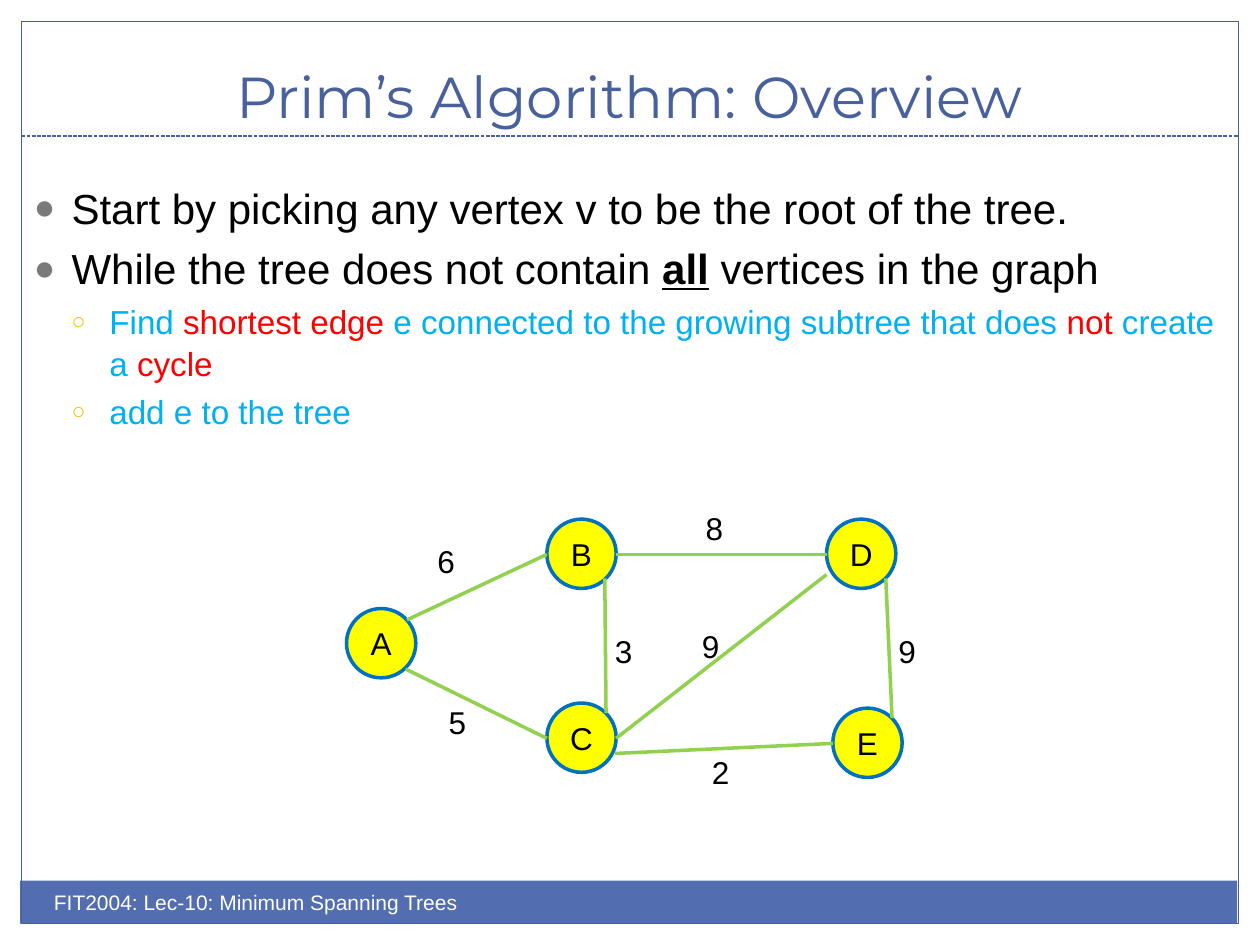
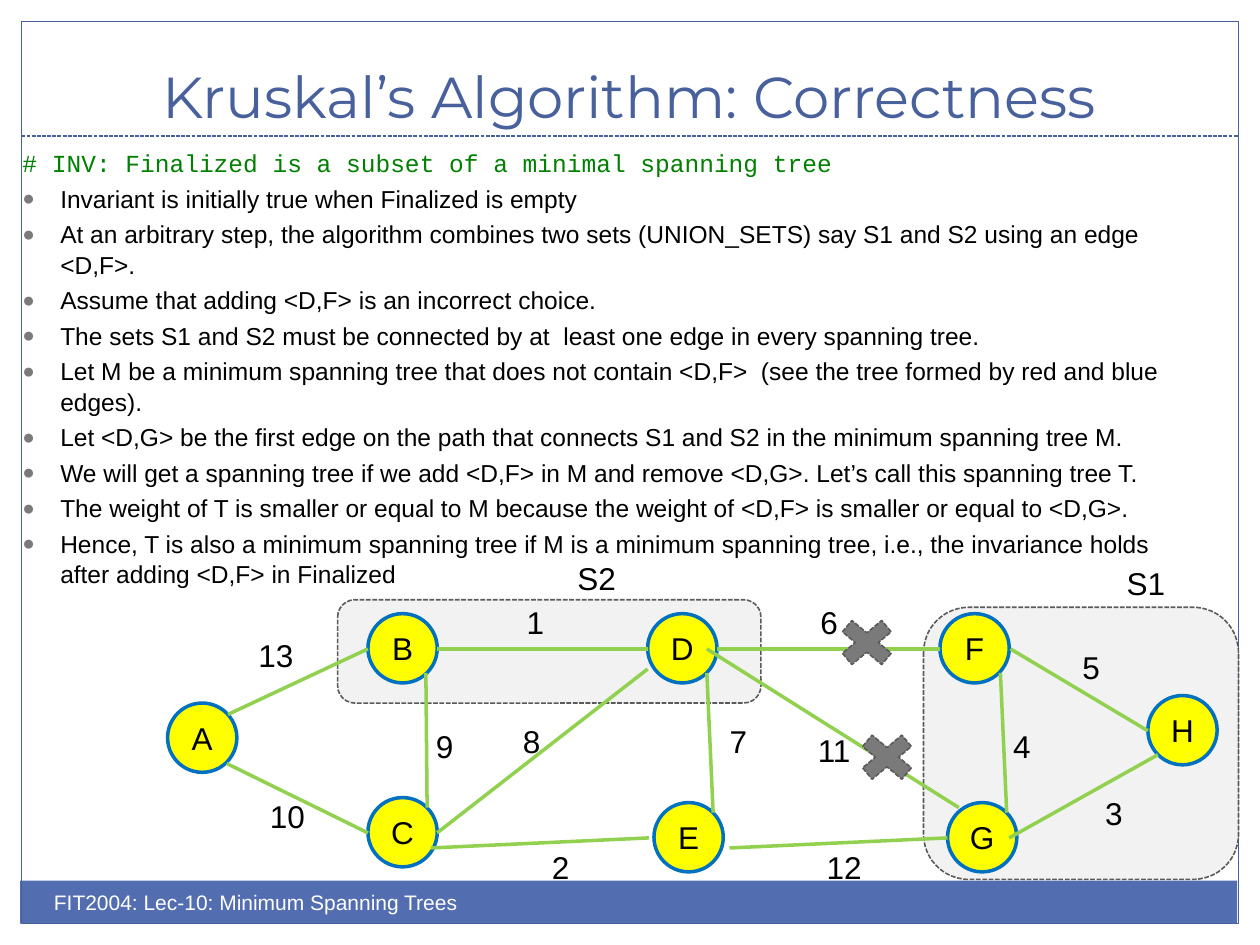
import pptx
import pptx.util
import pptx.dml.color
import pptx.enum.dml
import pptx.enum.shapes
import pptx.enum.text
import pptx.oxml.ns
from lxml import etree

Inches = pptx.util.Inches
Pt = pptx.util.Pt
SHAPE = pptx.enum.shapes.MSO_SHAPE
ALIGN = pptx.enum.text.PP_ALIGN
ANCHOR = pptx.enum.text.MSO_ANCHOR
DASH = pptx.enum.dml.MSO_LINE.SQUARE_DOT
qn = pptx.oxml.ns.qn

COLORS = {
    "title": "48609B", "band": "526DB0", "white": "FFFFFF", "black": "000000",
    "bullet": "7A7A7A", "sub_bullet": "F5C201", "step": "00B0F0", "stress": "FF0000",
    "code": "008000", "vertex": "FFFF00", "ring": "0070C0", "edge": "92D050",
    "set": "F2F2F2", "set_line": "5A5A5A", "cross": "7A7A7A",
}
BODY_FONT = "Arial"
VERTEX_SIZE = 0.55
BULLETS = [("●", "bullet", 85), ("○", "sub_bullet", 70)]

CORE_VERTICES = {"A": (0, 0.71), "B": (1.59, 0), "C": (1.59, 1.46),
                 "D": (3.81, 0), "E": (3.86, 1.5)}
CORE_EDGES = [
    (0.48, 0.8, 1.59, 0.28), (0.47, 1.19, 1.59, 1.74), (2.14, 0.28, 3.81, 0.28),
    (4.33, 1.58, 4.28, 0.47), (2.14, 1.74, 3.81, 0.44), (2.06, 1.54, 2.05, 0.47),
]


def rgb(name):
    return pptx.dml.color.RGBColor.from_string(COLORS[name])


def style_font(font, size, color, name=BODY_FONT):
    font.size = Pt(size)
    font.name = name
    font.color.rgb = rgb(color)


def style_line(line, color, width, dashed=False):
    line.color.rgb = rgb(color)
    line.width = Pt(width)
    if dashed:
        line.dash_style = DASH


def add_box(slide, kind, left, top, width, height, fill=None, line=None, weight=0.75, dashed=False):
    box = slide.shapes.add_shape(kind, Inches(left), Inches(top), Inches(width), Inches(height))
    box.shadow.inherit = False
    if fill:
        box.fill.solid()
        box.fill.fore_color.rgb = rgb(fill)
    else:
        box.fill.background()
    if line:
        style_line(box.line, line, weight, dashed)
    else:
        box.line.fill.background()
    return box


def add_line(slide, start_x, start_y, end_x, end_y, color, weight, dashed=False):
    line = slide.shapes.add_connector(
        pptx.enum.shapes.MSO_CONNECTOR.STRAIGHT,
        Inches(start_x), Inches(start_y), Inches(end_x), Inches(end_y))
    style_line(line.line, color, weight, dashed)
    etree.SubElement(line._element.spPr, qn("a:effectLst"))


def add_label(slide, text, left, top, width, size=18, color="black", align=ALIGN.CENTER):
    label = slide.shapes.add_textbox(Inches(left), Inches(top), Inches(width), Inches(0.4))
    label.text_frame.text = text
    paragraph = label.text_frame.paragraphs[0]
    paragraph.alignment = align
    style_font(paragraph.font, size, color)


def add_framed_slide(deck, title_text):
    slide = deck.slides.add_slide(deck.slide_layouts[5])
    add_box(slide, SHAPE.RECTANGLE, 0.16, 6.99, 9.66, 0.34, fill="band")
    add_box(slide, SHAPE.RECTANGLE, 0.17, 0.17, 9.66, 7.16, line="title")
    add_line(slide, 0.17, 1.08, 9.83, 1.08, "title", 0.75, dashed=True)
    add_label(slide, "FIT2004: Lec-10: Minimum Spanning Trees", 0.33, 7.01, 5,
              size=12, color="white", align=ALIGN.LEFT)
    title = slide.shapes.title
    title.left, title.top = Inches(0.33), Inches(0.25)
    title.width, title.height = Inches(9.33), Inches(0.83)
    frame = title.text_frame
    frame.text = title_text
    frame.auto_size = pptx.enum.text.MSO_AUTO_SIZE.NONE
    frame.vertical_anchor = ANCHOR.BOTTOM
    frame.paragraphs[0].alignment = ALIGN.CENTER
    style_font(frame.paragraphs[0].font, 33, "title", "Montserrat")
    return slide


def set_bullet(paragraph, level):
    mark, color, percent = BULLETS[level]
    props = paragraph._p.get_or_add_pPr()
    props.set("marL", str(Inches(0.3 * (level + 1))))
    props.set("indent", str(Inches(-0.3)))
    bullet_color = etree.SubElement(props, qn("a:buClr"))
    etree.SubElement(bullet_color, qn("a:srgbClr"), val=COLORS[color])
    etree.SubElement(props, qn("a:buSzPct"), val=str(percent * 1000))
    etree.SubElement(props, qn("a:buFont"), typeface=BODY_FONT)
    etree.SubElement(props, qn("a:buChar"), char=mark)


def add_body(slide, left, top, width, height, items):
    body = slide.shapes.add_textbox(Inches(left), Inches(top), Inches(width), Inches(height))
    frame = body.text_frame
    frame.word_wrap = True
    for index, (level, size, color, font_name, pieces) in enumerate(items):
        paragraph = frame.add_paragraph() if index else frame.paragraphs[0]
        if level is not None:
            set_bullet(paragraph, level)
        paragraph.line_spacing = 1.04
        if index:
            paragraph.space_before = Pt(0.2 * size)
        style_font(paragraph.font, size, color, font_name)
        for text, emphasis in pieces:
            run = paragraph.add_run()
            run.text = text
            if emphasis == "strong":
                run.font.bold = run.font.underline = True
            elif emphasis:
                run.font.color.rgb = rgb(emphasis)


def add_graph(slide, left, top, vertices, edges, weights):
    for letter, (x, y) in vertices.items():
        vertex = add_box(slide, SHAPE.OVAL, left + x, top + y, VERTEX_SIZE, VERTEX_SIZE,
                         fill="vertex", line="ring", weight=2)
        frame = vertex.text_frame
        frame.margin_left = frame.margin_right = frame.margin_top = frame.margin_bottom = 0
        frame.vertical_anchor = ANCHOR.MIDDLE
        frame.word_wrap = False
        frame.text = letter
        frame.paragraphs[0].alignment = ALIGN.CENTER
        style_font(frame.paragraphs[0].font, 18, "black")
    for x1, y1, x2, y2 in edges:
        add_line(slide, left + x1, top + y1, left + x2, top + y2, "edge", 2)
    for weight, x, y in weights:
        add_label(slide, weight, left + x, top + y, 0.2 + 0.14 * len(weight))


def build_prim(deck):
    slide = add_framed_slide(deck, "Prim’s Algorithm: Overview")
    add_body(slide, 0.17, 1.38, 9.67, 5, [
        (0, 24, "black", BODY_FONT,
         [("Start by picking any vertex v to be the root of the tree.", None)]),
        (0, 24, "black", BODY_FONT,
         [("While the tree does not contain ", None), ("all", "strong"),
          (" vertices in the graph", None)]),
        (1, 19, "step", BODY_FONT,
         [("Find ", None), ("shortest edge ", "stress"),
          ("e connected to the growing subtree that does ", None), ("not", "stress"),
          (" create a ", None), ("cycle", "stress")]),
        (1, 19, "step", BODY_FONT, [("add e to the tree", None)]),
    ])
    weights = [("6", 0.62, 0.13), ("5", 0.71, 1.41), ("3", 2.03, 0.85), ("8", 2.75, -0.13),
               ("9", 2.72, 0.81), ("2", 2.8, 1.81), ("9", 4.28, 0.85)]
    add_graph(slide, 2.75, 4.12, CORE_VERTICES,
              CORE_EDGES + [(2.13, 1.86, 3.86, 1.78)], weights)


def build_kruskal(deck):
    slide = add_framed_slide(deck, "Kruskal’s Algorithm: Correctness")
    invariant = "# INV: Finalized is a subset of a minimal spanning tree"
    argument = [
        "Invariant is initially true when Finalized is empty",
        "At an arbitrary step, the algorithm combines two sets (UNION_SETS) say S1 and S2 using an edge <D,F>.",
        "Assume that adding <D,F> is an incorrect choice.",
        "The sets S1 and S2 must be connected by at  least one edge in every spanning tree.",
        "Let M be a minimum spanning tree that does not contain <D,F>  (see the tree formed by red and blue edges).",
        "Let <D,G> be the first edge on the path that connects S1 and S2 in the minimum spanning tree M.",
        "We will get a spanning tree if we add <D,F> in M and remove <D,G>. Let’s call this spanning tree T.",
        "The weight of T is smaller or equal to M because the weight of <D,F> is smaller or equal to <D,G>.",
        "Hence, T is also a minimum spanning tree if M is a minimum spanning tree, i.e., the invariance holds after adding <D,F> in Finalized",
    ]
    for set_box in [(7.33, 4.82, 2.5, 2.16), (2.68, 4.76, 3.36, 0.82)]:
        add_box(slide, SHAPE.ROUNDED_RECTANGLE, *set_box,
                fill="set", line="set_line", weight=0.9, dashed=True)
    add_body(slide, 0.08, 1.12, 9.58, 5,
             [(None, 14, "code", "Courier New", [(invariant, None)])]
             + [(0, 14, "black", BODY_FONT, [(step, None)]) for step in argument])
    vertices = {**CORE_VERTICES, "F": (6.13, 0), "G": (6.19, 1.5), "H": (7.78, 0.65)}
    edges = CORE_EDGES + [
        (2.09, 1.86, 3.82, 1.78), (4.36, 0.28, 6.13, 0.28), (6.66, 1.58, 6.61, 0.47),
        (4.28, 0.28, 6.28, 1.54), (4.46, 1.86, 6.19, 1.78), (6.69, 0.28, 7.78, 0.93),
        (6.68, 1.78, 7.86, 1.12)]
    weights = [
        ("13", 0.62, 0.13), ("10", 0.71, 1.41), ("9", 2.03, 0.85), ("1", 2.75, -0.13),
        ("8", 2.72, 0.81), ("2", 2.95, 1.81), ("7", 4.36, 0.81), ("6", 5.08, -0.13),
        ("11", 5.05, 0.88), ("12", 5.13, 1.81), ("4", 6.61, 0.85), ("3", 7.34, 1.38),
        ("5", 7.16, 0.22)]
    add_graph(slide, 1.33, 4.87, vertices, edges, weights)
    for set_name, left, top in [("S1", 8.84, 4.43), ("S2", 4.48, 4.39)]:
        add_label(slide, set_name, left, top, 0.51)
    for left, top in [(6.58, 4.85), (6.74, 5.76)]:
        add_box(slide, SHAPE.MATH_MULTIPLY, left, top, 0.6, 0.5,
                fill="cross", line="set_line", weight=0.9, dashed=True)


def main():
    deck = pptx.Presentation()
    deck.slide_width, deck.slide_height = Inches(10), Inches(7.5)
    build_prim(deck)
    build_kruskal(deck)
    deck.save("out.pptx")


if __name__ == "__main__":
    main()
